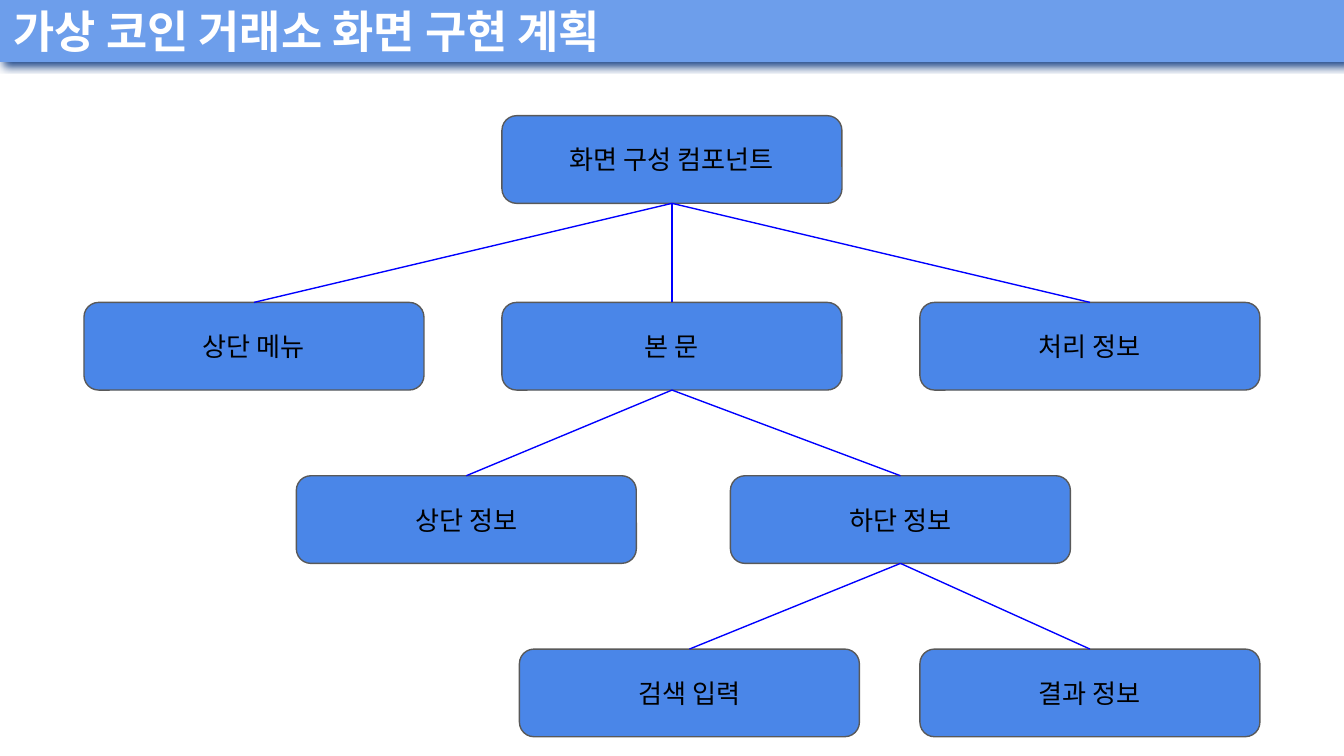
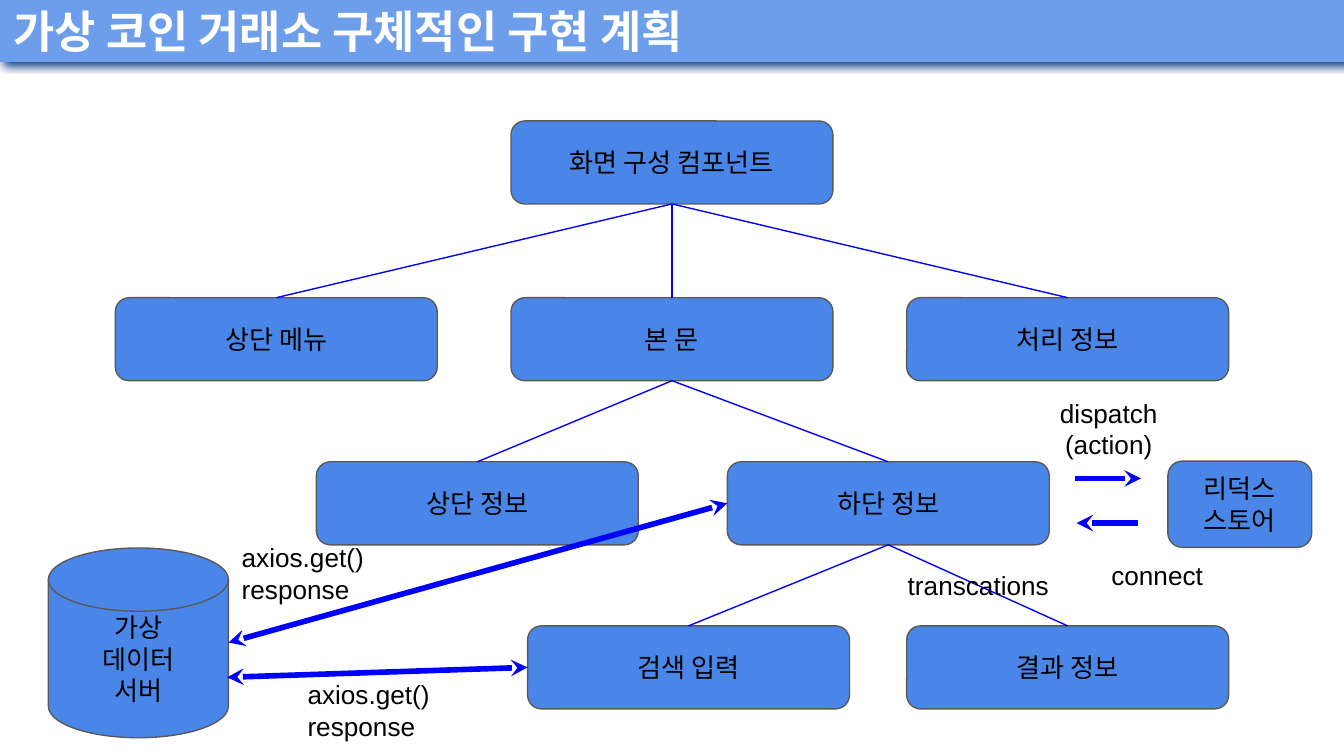
from dataclasses import dataclass

from lxml import etree
from pptx import Presentation, util as u
from pptx.dml.color import RGBColor
from pptx.enum import shapes, text
from pptx.oxml.ns import qn


@dataclass(frozen=True)
class Theme:
    band: str = "6D9EEB"
    band_shadow: str = "1C4587"
    box: str = "4A86E8"
    outline: str = "595959"
    link: str = "0000FF"
    ink: str = "000000"
    paper: str = "FFFFFF"
    title_font: str = "Lato"
    body_font: str = "Arial"
    title_size: int = 24
    body_size: int = 14
    thin: float = 0.75
    thick: float = 3


THEME = Theme()
SLIDE_W, SLIDE_H = u.Inches(10), u.Inches(5.625)
INSET = u.Inches(0.1)
BASE_WIDTH, BASE_HEIGHT = 25.3, 11.6
ROWS = [0, 24.7, 47.63, 70.56]
TREE = {
    "화면 구성 컴포넌트": (50, 0, None),
    "상단 메뉴": (18.9, 1, "화면 구성 컴포넌트"),
    "본 문": (50, 1, "화면 구성 컴포넌트"),
    "처리 정보": (81.1, 1, "화면 구성 컴포넌트"),
    "상단 정보": (34.7, 2, "본 문"),
    "하단 정보": (67, 2, "본 문"),
    "검색 입력": (51.3, 3, "하단 정보"),
    "결과 정보": (81.1, 3, "하단 정보"),
}
TOP, LEFT, BOTTOM = 0, 1, 2


def rgb(value):
    return RGBColor.from_string(value)


def px(percent):
    return round(SLIDE_W * percent / 100)


def py(percent):
    return round(SLIDE_H * percent / 100)


def area(left, top, width, height):
    return px(left), py(top), px(width), py(height)


def write(s, content, align, anchor, font=THEME.body_font, size=THEME.body_size,
          color=THEME.ink, bold=False):
    tf = s.text_frame
    tf.text = content
    tf.word_wrap = True
    tf.auto_size = text.MSO_AUTO_SIZE.NONE
    tf.vertical_anchor = anchor
    tf.margin_left = tf.margin_right = tf.margin_top = tf.margin_bottom = INSET
    for p in tf.paragraphs:
        p.alignment = align
        for r in p.runs:
            r.font.name = font
            r.font.size = u.Pt(size)
            r.font.bold = bold
            r.font.color.rgb = rgb(color)
    return tf


def add_band_shadow(s):
    effects = etree.SubElement(s.element.spPr, qn("a:effectLst"))
    shadow = etree.SubElement(effects, qn("a:outerShdw"), blurRad=str(u.Pt(4.5)),
                              dist=str(u.Pt(2.2)), dir=str(42 * 60000),
                              algn="bl", rotWithShape="0")
    etree.SubElement(shadow, qn("a:srgbClr"), val=THEME.band_shadow)


def add_titled_slide(prs, title):
    slide = prs.slides.add_slide(prs.slide_layouts.get_by_name("Title Only"))
    s = slide.shapes.title
    s.left, s.top, s.width, s.height = area(0, 0, 100, 8.2)
    s.fill.solid()
    s.fill.fore_color.rgb = rgb(THEME.band)
    add_band_shadow(s)
    write(s, title, text.PP_ALIGN.LEFT, text.MSO_ANCHOR.MIDDLE,
          THEME.title_font, THEME.title_size, THEME.paper, True)
    return slide


def add_box(slide, content, place, kind=shapes.MSO_SHAPE.ROUNDED_RECTANGLE):
    s = slide.shapes.add_shape(kind, *area(*place))
    s.shadow.inherit = False
    s.fill.solid()
    s.fill.fore_color.rgb = rgb(THEME.box)
    s.line.color.rgb = rgb(THEME.outline)
    s.line.width = u.Pt(THEME.thin)
    write(s, content, text.PP_ALIGN.CENTER, text.MSO_ANCHOR.MIDDLE)
    return s


def add_label(slide, content, place, align=text.PP_ALIGN.CENTER):
    s = slide.shapes.add_textbox(*area(*place))
    tf = write(s, content, align, text.MSO_ANCHOR.TOP)
    tf.auto_size = text.MSO_AUTO_SIZE.SHAPE_TO_FIT_TEXT


def add_link(slide, start=(0, 0), end=(0, 0), width=THEME.thin, heads=()):
    s = slide.shapes.add_connector(shapes.MSO_CONNECTOR.STRAIGHT,
                                   px(start[0]), py(start[1]), px(end[0]), py(end[1]))
    s.line.color.rgb = rgb(THEME.link)
    s.line.width = u.Pt(width)
    sp = s.element.spPr
    for head in heads:
        etree.SubElement(sp.find(qn("a:ln")), qn(f"a:{head}End"), type="stealth")
    etree.SubElement(sp, qn("a:effectLst"))
    return s


def add_tree(slide, top, width):
    scale = width / BASE_WIDTH
    height = BASE_HEIGHT * scale
    boxes = {}
    for name, (center, row, _) in TREE.items():
        left = 50 + (center - 50) * scale - width / 2
        boxes[name] = add_box(slide, name, (left, top + ROWS[row] * scale, width, height))
    for name, (_, _, parent) in TREE.items():
        if parent:
            link = add_link(slide)
            link.begin_connect(boxes[parent], BOTTOM)
            link.end_connect(boxes[name], TOP)
    return boxes


def add_server(slide, boxes):
    add_box(slide, "가상\n데이터\n서버", (3.6, 72.5, 13.4, 25.1),
            shapes.MSO_SHAPE.FLOWCHART_MAGNETIC_DISK)
    for start, target, label in (((17, 85), "하단 정보", (17, 69.9)),
                                 ((16.9, 89.6), "검색 입력", (21.9, 88))):
        link = add_link(slide, start, start, THEME.thick, ("head", "tail"))
        link.end_connect(boxes[target], LEFT)
        add_label(slide, "axios.get()\nresponse", (*label, 12.3, 11.9), text.PP_ALIGN.LEFT)


def add_store(slide):
    add_box(slide, "리덕스\n스토어", (86.9, 61, 10.7, 11.4))
    add_link(slide, (80, 63.3), (84.9, 63.3), THEME.thick, ("tail",))
    add_link(slide, (80.1, 69.2), (84.7, 69.2), THEME.thick, ("head",))
    for content, left, top, height in (("transcations", 66.1, 73.6, 7.8),
                                       ("dispatch\n(action)", 75.8, 50.8, 11.9),
                                       ("connect", 79.4, 72.2, 7.8)):
        add_label(slide, content, (left, top, 13.4, height))


def main():
    prs = Presentation()
    prs.slide_width, prs.slide_height = SLIDE_W, SLIDE_H
    screen = add_titled_slide(prs, "가상 코인 거래소 화면 구현 계획")
    add_tree(screen, 15.3, BASE_WIDTH)
    detail = add_titled_slide(prs, "가상 코인 거래소 구체적인 구현 계획")
    boxes = add_tree(detail, 16, 23.95)
    add_server(detail, boxes)
    add_store(detail)
    prs.save("out.pptx")


if __name__ == "__main__":
    main()
